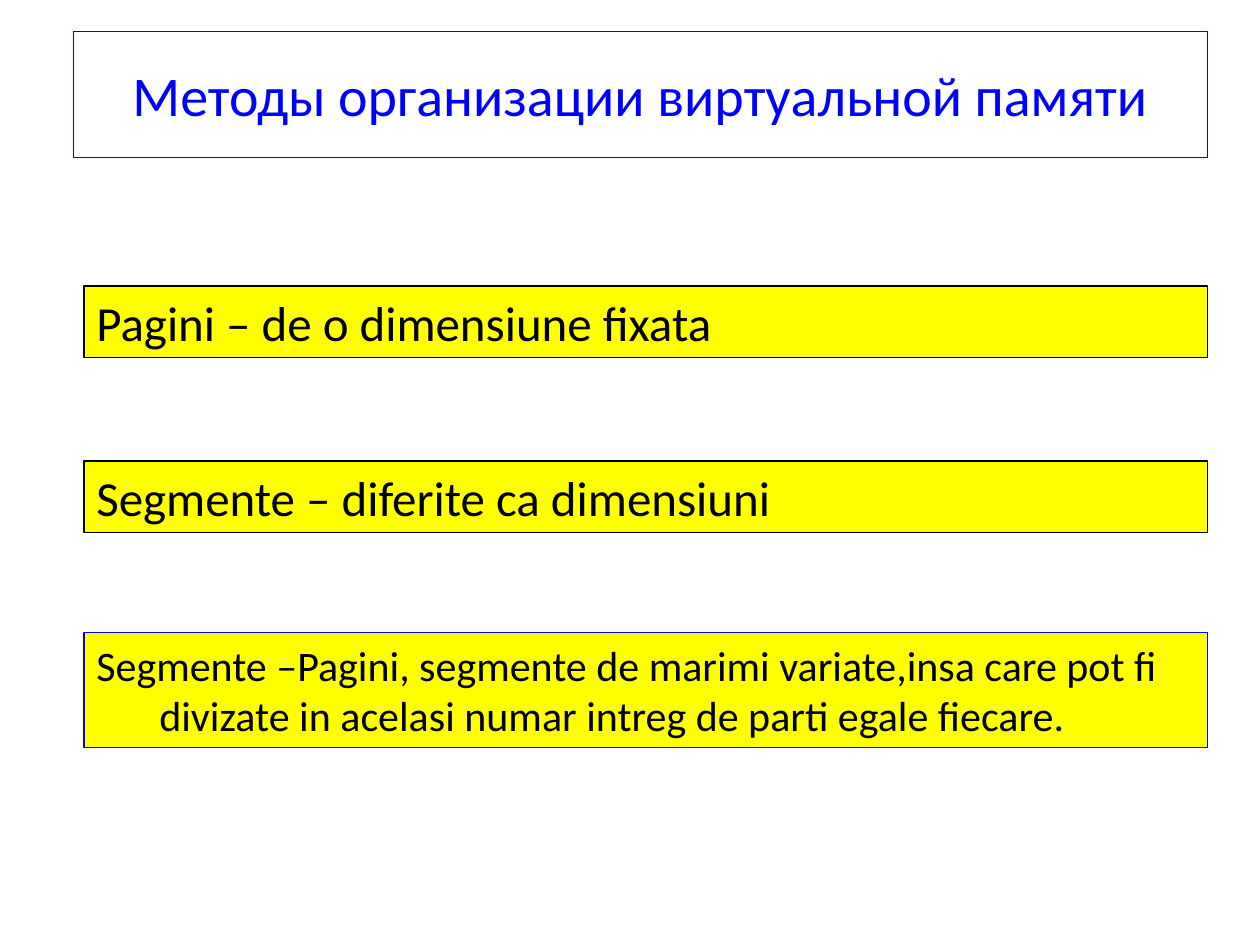
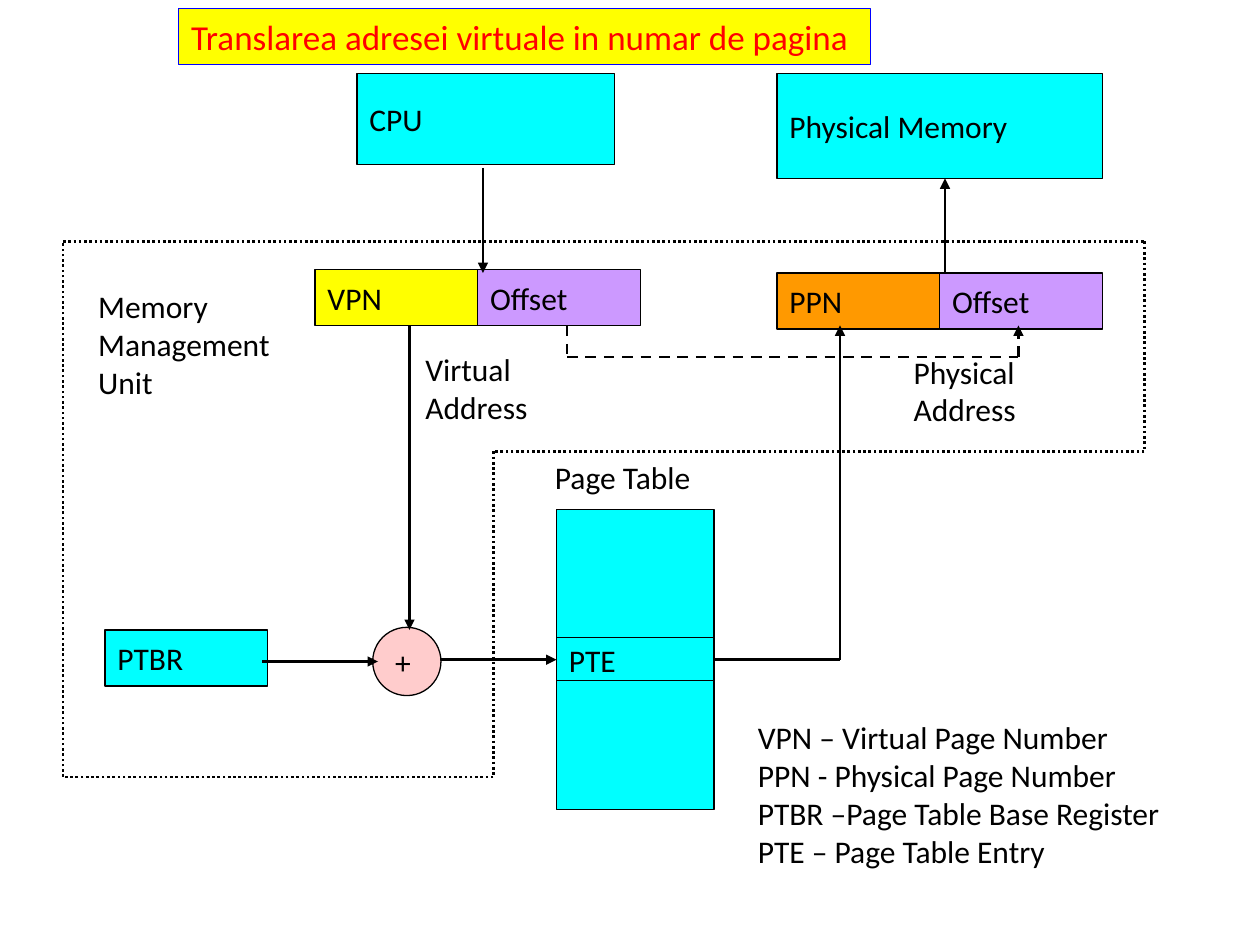
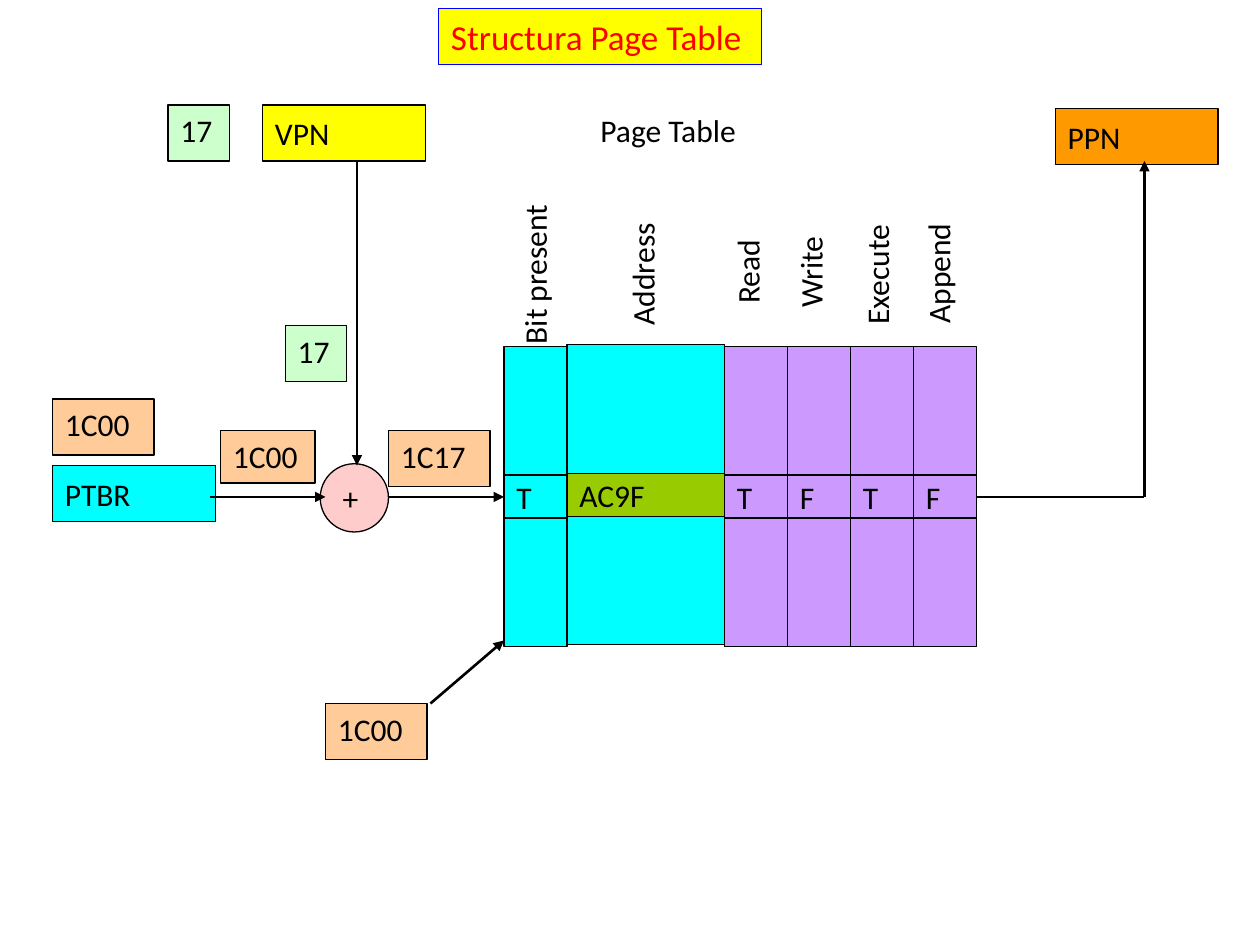
from itertools import pairwise
from lxml.etree import SubElement as Sub
from pptx import Presentation
from pptx.dml.color import RGBColor
from pptx.enum.dml import MSO_LINE as Dash
from pptx.enum.shapes import MSO_CONNECTOR as Conn, MSO_SHAPE as Geo
from pptx.enum.text import MSO_ANCHOR as Anchor, MSO_AUTO_SIZE as Fit, PP_ALIGN as Align
from pptx.oxml.ns import qn
from pptx.util import Pt

FONT = "Calibri"
BLACK, BLUE, RED = "000000", "0000FF", "FF0000"
YELLOW, CYAN, VIOLET, ORANGE = "FFFF00", "00FFFF", "CC99FF", "FF9900"
PINK, MINT, PEACH, OLIVE = "FFCCCC", "CCFFCC", "FFCC99", "99CC00"
REG = (93, 32)
CHIP = (58, 32)
ROUND = 39
COL, ADDR = 36, 90
END, MID, STEP = 73.5, 25, 98

METHODS = [
    ("Pagini – de o dimensiune fixata", 163.5, 41, 28, BLACK, 0),
    ("Segmente – diferite ca dimensiuni", 263.5, 41, 28, BLACK, 0),
    ("Segmente –Pagini, segmente de marimi variate,insa care pot fi "
     "divizate in acelasi numar intreg de parti egale fiecare.", 361.5, 65.5, 24, BLUE, 36),
]

UNITS = [
    ("CPU", (204, 42, 147, 52), CYAN),
    ("VPN", (180, 154, *REG), YELLOW),
    ("Offset", (273, 154, *REG), VIOLET),
    ("PPN", (444, 156, *REG), ORANGE),
    ("Offset", (537, 156, *REG), VIOLET),
    ("Physical Memory", (444, 42, 186, 60), CYAN),
    ("PTBR", (60, 360, *REG), CYAN),
]
PATHS = [
    [(150, 378), (216, 378)],
    [(234, 186), (234, 360)],
    [(540, 156), (540, 102)],
    [(276, 96), (276, 156)],
]
DASHED = [(324, 186), (324, 204), (582, 204), (582, 186)]
BORDER = [(36, 138), (654, 138), (654, 258), (282, 258), (282, 444), (36, 444), (36, 138)]
NOTES = [
    ("Memory\nManagement\nUnit", (49, 160.5, 119, 79)),
    ("Page Table", (310, 258, 104, 31)),
    ("Virtual\nAddress", (236, 196.5, 80, 55)),
    ("Physical\nAddress", (515, 198, 82, 55)),
    ("VPN – Virtual Page Number\nPPN - Physical Page Number\n"
     "PTBR –Page Table Base Register\nPTE – Page Table Entry", (426, 407, 284, 103)),
]

PARTS = [
    ("VPN", (150, 60, *REG), YELLOW),
    ("PPN", (603, 62, *REG), ORANGE),
    ("PTBR", (30, 266, *REG), CYAN),
]
CHIPS = [
    ("17", (96, 60, 35, 32), MINT),
    ("17", (163, 186, 35, 32), MINT),
    ("1C00", (186, 402, *CHIP), PEACH),
    ("1C17", (222, 246, *CHIP), PEACH),
    ("1C00", (126, 246, 54, 30), PEACH),
    ("1C00", (30, 228, *CHIP), PEACH),
]
FLOWS = [
    [(120, 284), (186, 284)],
    [(204, 92), (204, 266)],
    [(246, 402), (288, 366)],
]
FLAGS = ["T", "F", "T", "F"]
HEADS = [
    ("Bit present", 306.5, 101.5),
    ("Address", 368, 80),
    ("Read", 428, 55.5),
    ("Write", 464, 60),
    ("Execute", 502, 79),
    ("Append", 537, 78),
]


def tint(code):
    return RGBColor.from_string(code)


def paint(shape, fill, line):
    if fill:
        shape.fill.solid()
        shape.fill.fore_color.rgb = tint(fill)
    shape.line.color.rgb = tint(line)
    shape.line.width = Pt(0.75)


def write(shape, text, size=18, color=BLACK, anchor=Anchor.MIDDLE, align=Align.LEFT, hang=0):
    frame = shape.text_frame
    frame.word_wrap = True
    frame.auto_size = Fit.NONE
    frame.vertical_anchor = anchor
    for i, part in enumerate(text.split("\n")):
        para = frame.add_paragraph() if i else frame.paragraphs[0]
        para.alignment = align
        if hang:
            props = para._p.get_or_add_pPr()
            props.set("marL", str(Pt(hang)))
            props.set("indent", str(Pt(-hang)))
        run = para.add_run()
        run.text = part
        run.font.name = FONT
        run.font.size = Pt(size)
        run.font.color.rgb = tint(color)


def box(slide, text, area, fill, line=BLACK, geo=Geo.RECTANGLE, **style):
    shape = slide.shapes.add_shape(geo, *map(Pt, area))
    shape.shadow.inherit = False
    paint(shape, fill, line)
    if text:
        write(shape, text, **style)
    return shape


def note(slide, text, area, turn=0):
    shape = slide.shapes.add_textbox(*map(Pt, area))
    shape.rotation = turn
    write(shape, text, anchor=Anchor.TOP)


def adder(slide, x, y):
    box(slide, "+", (x, y, ROUND, ROUND), PINK, geo=Geo.OVAL)


def stack(slide, text, x, y, wide, fill, mark=None):
    box(slide, "", (x, y, wide, END), fill)
    cell = box(slide, text, (x, y + END, wide, MID), mark or fill)
    box(slide, "", (x, y + STEP, wide, END), fill)
    return cell


def wire(slide, points, dash=None, arrow=True, start=None, end=None):
    links = []
    for a, b in pairwise(points):
        link = slide.shapes.add_connector(Conn.STRAIGHT, *map(Pt, (*a, *b)))
        link.line.color.rgb = tint(BLACK)
        link.line.width = Pt(1.5)
        if dash:
            link.line.dash_style = dash
        Sub(link._element.spPr, qn("a:effectLst"))
        links.append(link)
    if arrow:
        Sub(links[-1].line._get_or_add_ln(), qn("a:tailEnd"), type="triangle")
    if start:
        links[0].begin_connect(start, 3)
    if end:
        links[-1].end_connect(end, 1)


def page(deck, text, area, fill=None, **style):
    slide = deck.slides.add_slide(deck.slide_layouts[5])
    title = slide.shapes.title
    title.left, title.top, title.width, title.height = map(Pt, area)
    paint(title, fill, BLUE)
    write(title, text, **style)
    return slide


def banner(deck, text, x, wide):
    return page(deck, text, (x, 5, wide, 32), YELLOW, size=20, color=RED, anchor=Anchor.TOP)


def methods(deck):
    slide = page(deck, "Методы организации виртуальной памяти", (42, 18, 648, 72),
                 size=32, color=BLUE, align=Align.CENTER)
    for text, top, high, size, line, hang in METHODS:
        box(slide, text, (48, top, 642, high), YELLOW, line, size=size, hang=hang)


def mapping(deck):
    slide = banner(deck, "Translarea adresei virtuale in numar de pagina", 102, 395.5)
    for unit in UNITS:
        box(slide, *unit)
    entry = stack(slide, "PTE", 318, 291, ADDR, CYAN)
    adder(slide, 213, 358.5)
    for path in PATHS:
        wire(slide, path)
    wire(slide, [(252, 377), (318, 377)], end=entry)
    wire(slide, [(408, 377), (480, 377), (480, 186)], start=entry)
    wire(slide, DASHED, Dash.DASH)
    wire(slide, BORDER, Dash.ROUND_DOT, arrow=False)
    for item in NOTES:
        note(slide, *item)


def table(deck):
    slide = banner(deck, "Structura Page Table", 250.5, 184.5)
    for part in PARTS:
        box(slide, *part)
    stack(slide, "AC9F", 324, 197, ADDR, CYAN, OLIVE)
    first = stack(slide, "T", 288, 198, COL, CYAN)
    for i, flag in enumerate(FLAGS):
        last = stack(slide, flag, 414 + i * COL, 198, COL, VIOLET)
    adder(slide, 183, 265)
    for chip in CHIPS:
        box(slide, *chip, anchor=Anchor.TOP)
    for flow in FLOWS:
        wire(slide, flow)
    wire(slide, [(222, 284), (288, 284)], end=first)
    wire(slide, [(558, 284), (654, 284), (654, 92)], start=last)
    note(slide, "Page Table", (336, 60, 104, 31))
    for text, mid, wide in HEADS:
        note(slide, text, (mid - wide / 2, 137.5, wide, 31), 270)


def main():
    deck = Presentation()
    deck.slide_width, deck.slide_height = Pt(720), Pt(540)
    methods(deck)
    mapping(deck)
    table(deck)
    deck.save("out.pptx")


if __name__ == "__main__":
    main()
